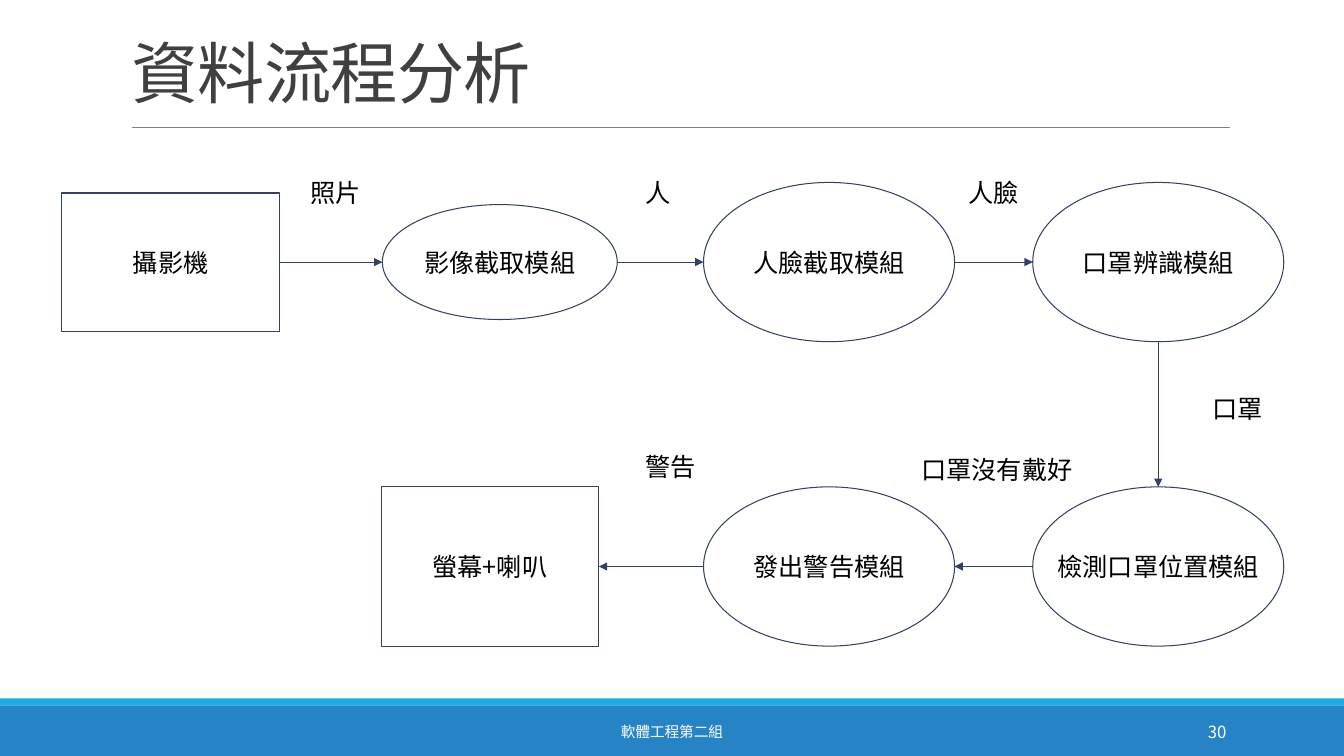
from typing import NamedTuple

from lxml import etree
from pptx import Presentation
from pptx.dml.color import RGBColor
from pptx.enum.shapes import MSO_CONNECTOR, MSO_SHAPE
from pptx.enum.text import MSO_ANCHOR, MSO_AUTO_SIZE, PP_ALIGN
from pptx.oxml.ns import qn
from pptx.util import Inches, Pt

RECTANGLE = MSO_SHAPE.RECTANGLE
ELLIPSE = MSO_SHAPE.FLOWCHART_CONNECTOR
STRAIGHT = MSO_CONNECTOR.STRAIGHT
LEFT, CENTER, RIGHT = PP_ALIGN.LEFT, PP_ALIGN.CENTER, PP_ALIGN.RIGHT
MIDDLE, BOTTOM = MSO_ANCHOR.MIDDLE, MSO_ANCHOR.BOTTOM
NO_AUTOFIT = MSO_AUTO_SIZE.NONE

WHITE = RGBColor(0xFF, 0xFF, 0xFF)
BLACK = RGBColor(0x00, 0x00, 0x00)
CHARCOAL = RGBColor(0x40, 0x40, 0x40)
GRAY = RGBColor(0x80, 0x80, 0x80)
NAVY = RGBColor(0x34, 0x40, 0x68)
BLUE = RGBColor(0x26, 0x83, 0xC6)
CYAN = RGBColor(0x1C, 0xAD, 0xE4)
FONT = "Noto Sans CJK SC"
SLIDE_WIDTH, SLIDE_HEIGHT = 13.33, 7.5


class Box(NamedTuple):
    left: float
    top: float
    width: float
    height: float

    def lengths(self):
        return [Inches(value) for value in self]

    def at(self, across, down):
        return self.left + self.width * across, self.top + self.height * down

    def share(self, left, top, width, height):
        return Box(*self.at(left, top), self.width * width, self.height * height)


def box_around(center, width, height):
    return Box(center[0] - width / 2, center[1] - height / 2, width, height)


NODES = {
    "camera": (RECTANGLE, "攝影機", 0, 0, 2.16, 1.37),
    "capture": (ELLIPSE, "影像截取模組", 1, 0, 2.33, 1.14),
    "face": (ELLIPSE, "人臉截取模組", 2, 0, 2.49, 1.58),
    "mask": (ELLIPSE, "口罩辨識模組", 3, 0, 2.49, 1.58),
    "position": (ELLIPSE, "檢測口罩位置模組", 3, 1, 2.49, 1.58),
    "warning": (ELLIPSE, "發出警告模組", 2, 1, 2.49, 1.58),
    "output": (RECTANGLE, "螢幕+喇叭", 0.97, 1, 2.16, 1.58),
}
TO_RIGHT = ((1, 0.5), (0, 0.5))
TO_LEFT = ((0, 0.5), (1, 0.5))
DOWNWARD = ((0.5, 1), (0.5, 0))
FLOWS = [
    ("camera", "capture", TO_RIGHT, "照片", 1, 0.27),
    ("capture", "face", TO_RIGHT, "人", 1.98, 0.27),
    ("face", "mask", TO_RIGHT, "人臉", 3, 0.27),
    ("mask", "position", DOWNWARD, "口罩", 3.74, 0.98),
    ("position", "warning", TO_LEFT, "口罩沒有戴好", 3.01, 1.18),
    ("warning", "output", TO_LEFT, "警告", 2.02, 1.17),
]
COLUMNS, ROWS = 4, 2


def write_text(shape, text, size, color, alignment, anchor=MIDDLE, wrap=True):
    frame = shape.text_frame
    frame.word_wrap = wrap
    frame.auto_size = NO_AUTOFIT
    frame.vertical_anchor = anchor
    paragraph = frame.paragraphs[0]
    paragraph.alignment = alignment
    run = paragraph.add_run()
    run.text = text
    run.font.name = FONT
    run.font.size = Pt(size)
    run.font.color.rgb = color
    properties = run.font._element
    etree.SubElement(properties, qn("a:ea")).set("typeface", FONT)
    return paragraph, properties


def add_text(slide, box, text, size, color, alignment, wrap=True):
    shape = slide.shapes.add_textbox(*box.lengths())
    write_text(shape, text, size, color, alignment, wrap=wrap)


def add_filled(slide, kind, box, fill, outline=None):
    shape = slide.shapes.add_shape(kind, *box.lengths())
    shape.shadow.inherit = False
    shape.fill.solid()
    shape.fill.fore_color.rgb = fill
    if outline is None:
        shape.line.fill.background()
    else:
        shape.line.color.rgb = outline
        shape.line.width = Pt(0.75)
    return shape


def add_line(slide, start, end, color, width, arrow=False):
    points = [Inches(value) for value in (*start, *end)]
    connector = slide.shapes.add_connector(STRAIGHT, *points)
    connector.line.color.rgb = color
    connector.line.width = Pt(width)
    if arrow:
        line = connector.line._get_or_add_ln()
        etree.SubElement(line, qn("a:tailEnd")).set("type", "triangle")
    etree.SubElement(connector._element.spPr, qn("a:effectLst"))


def build_header(slide, box):
    title = slide.shapes.title
    title.left, title.top, title.width, title.height = box.lengths()
    paragraph, properties = write_text(
        title, "資料流程分析", 48, CHARCOAL, LEFT, BOTTOM)
    paragraph.line_spacing = 0.85
    properties.set("spc", "-50")
    add_line(slide, box.at(0.01, 1.1), box.at(1, 1.1), GRAY, 0.5)


def build_flow(slide, box):
    def place(column, row):
        return box.at(column / COLUMNS, row / ROWS)

    node_boxes = {}
    for name, (kind, text, column, row, width, height) in NODES.items():
        node_boxes[name] = box_around(place(column + 0.5, row + 0.5), width, height)
        shape = add_filled(slide, kind, node_boxes[name], WHITE, NAVY)
        write_text(shape, text, 18, BLACK, CENTER, wrap=False)
    for source, target, (leaving, entering), text, column, row in FLOWS:
        add_line(slide, node_boxes[source].at(*leaving),
                 node_boxes[target].at(*entering), NAVY, 0.75, arrow=True)
        label_box = box_around(place(column, row), 0.2 + 0.25 * len(text), 0.5)
        add_text(slide, label_box, text, 18, BLACK, CENTER, wrap=False)


def build_footer(slide, box):
    add_filled(slide, RECTANGLE, box.share(0, 0.12, 1, 0.88), BLUE)
    add_filled(slide, RECTANGLE, box.share(0, 0, 1, 0.12), CYAN)
    add_text(slide, box.share(0.3, 0.23, 0.4, 0.7), "軟體工程第二組", 10.5, WHITE, CENTER)
    add_text(slide, box.share(0.81, 0.23, 0.11, 0.7), "30", 12, WHITE, RIGHT)


def main():
    presentation = Presentation()
    presentation.slide_width = Inches(SLIDE_WIDTH)
    presentation.slide_height = Inches(SLIDE_HEIGHT)
    slide = presentation.slides.add_slide(presentation.slide_layouts[5])
    build_footer(slide, Box(0, 6.93, SLIDE_WIDTH, 0.57))
    build_header(slide, Box(1.2, 0.17, 11, 0.99))
    build_flow(slide, Box(0.06, 1.09, 13.06, 6.04))
    presentation.save("out.pptx")


if __name__ == "__main__":
    main()
